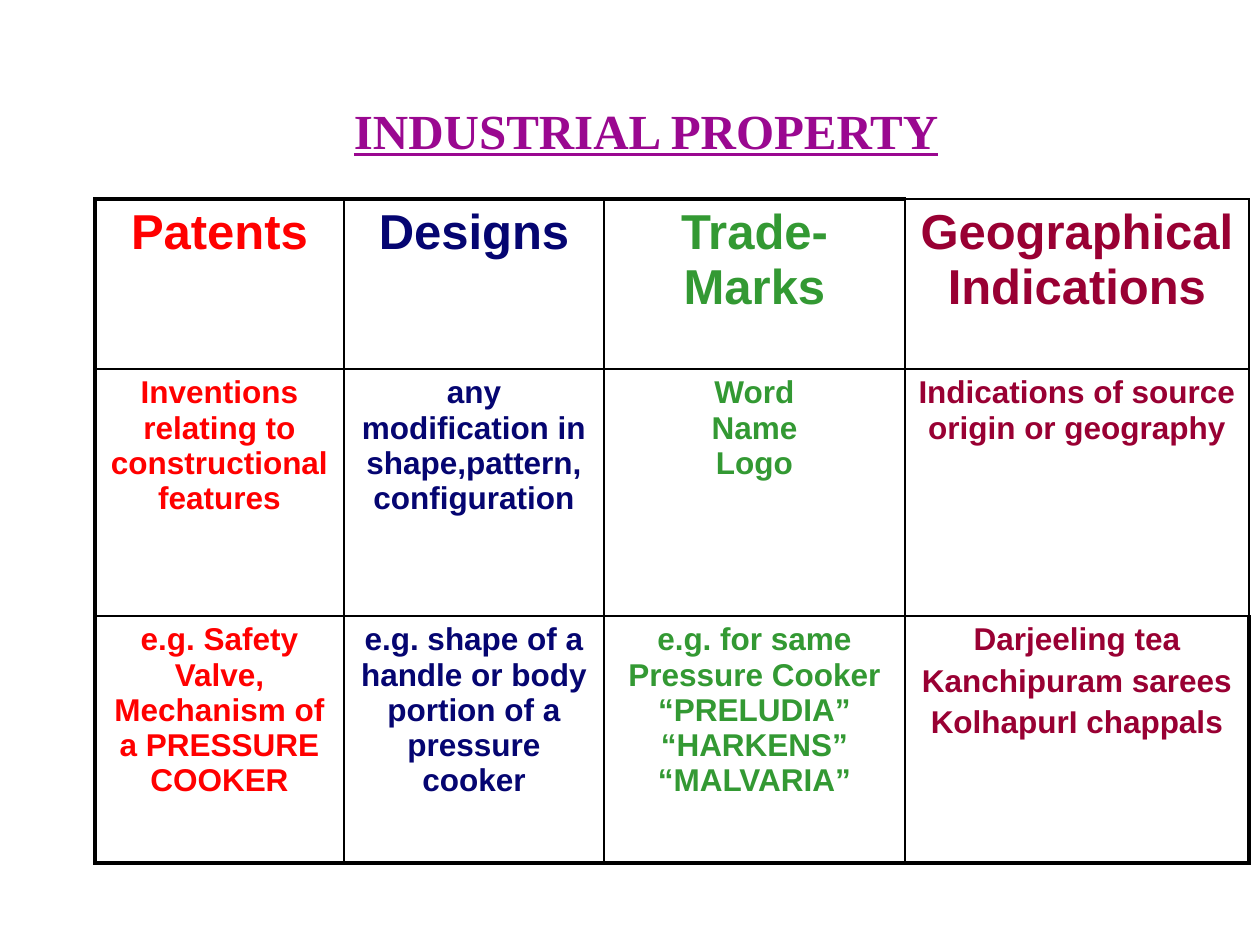
from pptx import Presentation
from pptx import util as u
from pptx.dml.color import RGBColor
from pptx.enum import text
from pptx.oxml import parse_xml
from pptx.oxml.ns import nsdecls

RED = RGBColor(0xFF, 0x00, 0x00)
NAVY = RGBColor(0x05, 0x05, 0x71)
GREEN = RGBColor(0x33, 0x99, 0x33)
WINE = RGBColor(0x99, 0x00, 0x33)
PURPLE = RGBColor(0x9A, 0x08, 0x90)
BLACK = RGBColor(0x00, 0x00, 0x00)

INKS = [RED, NAVY, GREEN, WINE]
HEADS = [["Patents"], ["Designs"], ["Trade- Marks"], ["Geographical Indications"]]
SCOPES = [
    ["Inventions relating to constructional", "features"],
    ["any modification in shape,pattern,", "configuration"],
    ["Word", "Name", "Logo"],
    ["Indications of source origin or geography"],
]
CASES = [
    ["e.g. Safety Valve,", "Mechanism of a PRESSURE COOKER"],
    ["e.g. shape of a", "handle or body portion of a pressure cooker"],
    ["e.g. for same", "Pressure Cooker", "“PRELUDIA”", "“HARKENS”", "“MALVARIA”"],
    ["Darjeeling tea", "Kanchipuram sarees", "KolhapurI chappals"],
]


def px(n):
    return u.Emu(n * 914400 // 126)


def put(frame, lines, font="Arial", size=18, ink=BLACK, line=False, gap=0):
    frame.word_wrap = True
    for i, words in enumerate(lines):
        para = frame.paragraphs[0] if i == 0 else frame.add_paragraph()
        para.alignment = text.PP_ALIGN.CENTER
        para.space_before = u.Pt(gap if i else 0)
        run = para.add_run()
        run.text = words
        run.font.name = font
        run.font.size = u.Pt(size)
        run.font.bold = True
        run.font.underline = line
        run.font.color.rgb = ink


class Deck:
    """Holds the table style and the current slide."""

    thin, thick = 1, 2.25

    def __init__(self, show):
        self.slide = show.slides.add_slide(show.slide_layouts[6])

    def title(self, words, x, y, w, h):
        box = self.slide.shapes.add_textbox(px(x), px(y), px(w), px(h))
        put(box.text_frame, [words], font="Times New Roman", size=28, ink=PURPLE, line=True)

    def edge(self, cell, side, wide):
        width = u.Pt(self.thick if wide else self.thin)
        cell._tc.get_or_add_tcPr().append(parse_xml(
            f'<a:ln{side} {nsdecls("a")} w="{int(width)}"><a:solidFill>'
            f'<a:srgbClr val="{BLACK}"/></a:solidFill></a:ln{side}>'))

    def table(self, rows, x, y, wides, highs):
        shape = self.slide.shapes.add_table(
            len(rows), len(wides), px(x), px(y), px(sum(wides)), px(sum(highs)))
        grid = shape.table
        grid.first_row = grid.horz_banding = False
        for col, wide in zip(grid.columns, wides):
            col.width = px(wide)
        last, end = len(rows) - 1, len(wides) - 1
        for r, (row, high) in enumerate(zip(rows, highs)):
            grid.rows[r].height = px(high)
            for c, (lines, ink) in enumerate(zip(row, INKS)):
                cell = grid.cell(r, c)
                put(cell.text_frame, lines, size=18 if r else 28, ink=ink,
                    gap=3.6 if c == end else 0)
                self.edge(cell, "L", c == 0)
                self.edge(cell, "R", c == end and r == last)
                self.edge(cell, "T", r == 0 and c < end)
                self.edge(cell, "B", r == last)
                cell.fill.background()


def main():
    show = Presentation()
    show.slide_width, show.slide_height = px(1260), px(945)
    deck = Deck(show)
    deck.table([HEADS, SCOPES, CASES], 95, 199, [249, 260, 301, 344], [170, 247, 247])
    deck.title("INDUSTRIAL PROPERTY", 252, 94, 788, 147)
    show.save("out.pptx")


if __name__ == "__main__":
    main()
